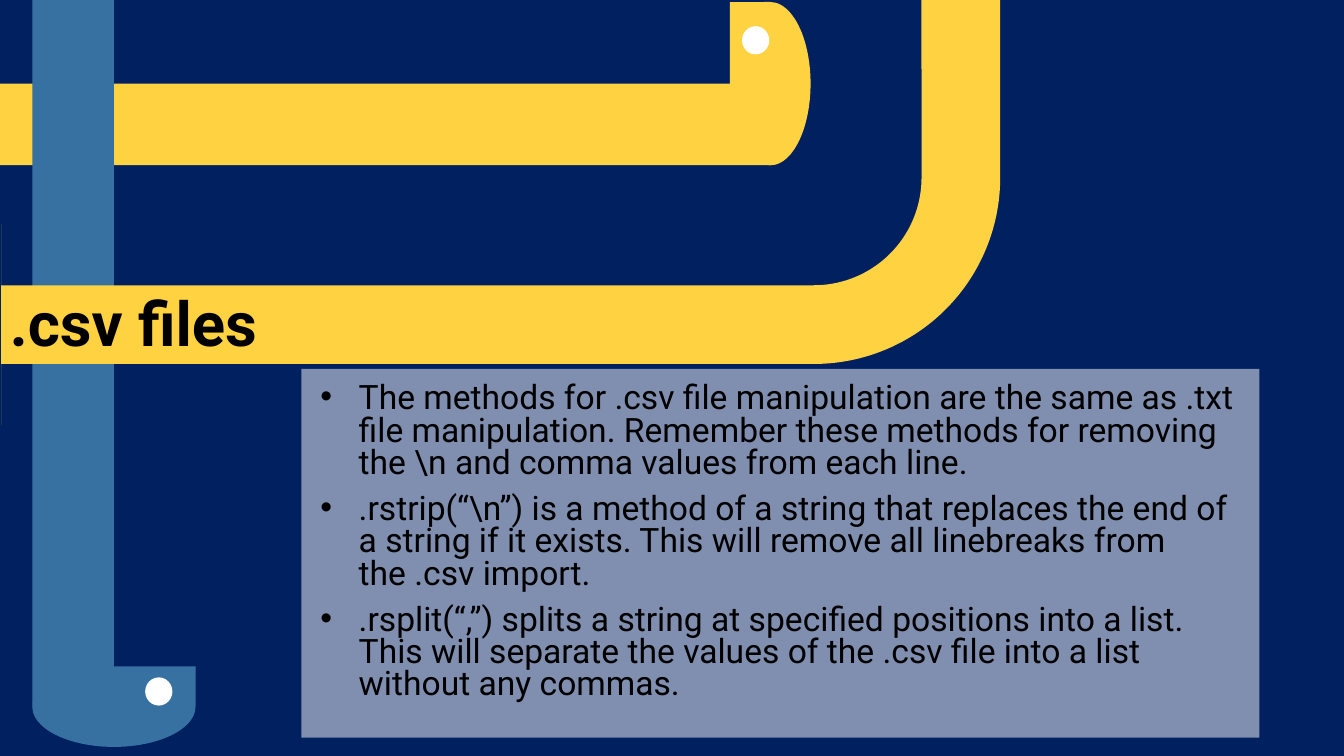
from dataclasses import dataclass

from lxml import etree
from pptx import Presentation
from pptx.dml.color import RGBColor
from pptx.enum.shapes import MSO_SHAPE
from pptx.enum.text import MSO_ANCHOR, PP_ALIGN
from pptx.oxml.ns import qn
from pptx.shapes.autoshape import Shape
from pptx.slide import Slide
from pptx.util import Inches, Pt

RECTANGLE = MSO_SHAPE.RECTANGLE
BENT_ARROW = MSO_SHAPE.BENT_ARROW
TEARDROP = MSO_SHAPE.TEAR
EYE = MSO_SHAPE.FLOWCHART_CONNECTOR
TOP, BOTTOM = MSO_ANCHOR.TOP, MSO_ANCHOR.BOTTOM
LEFT = PP_ALIGN.LEFT


@dataclass(frozen=True)
class Theme:
    navy: str = "002060"
    yellow: str = "FFD242"
    blue: str = "3771A1"
    white: str = "FFFFFF"
    black: str = "000000"
    font: str = "Roboto"
    title_size: int = 44
    body_size: int = 24


THEME = Theme()


@dataclass(frozen=True)
class Piece:
    kind: MSO_SHAPE
    box: tuple[float, float, float, float]
    color: str
    rotation: int = 0
    flipped: bool = False
    opacity: int = 100
    bends: tuple[float, ...] = ()


@dataclass(frozen=True)
class Passage:
    box: tuple[float, float, float, float]
    lines: tuple[str, ...]
    size: int
    bold: bool
    anchor: MSO_ANCHOR
    spacing: float
    before: int = 0
    indent: float = 0


BACKDROP = (
    Piece(RECTANGLE, (0, 0.83, 7.63, 0.81), THEME.yellow),
    Piece(RECTANGLE, (-2.77, 3.09, 6.99, 0.81), THEME.blue, rotation=90),
    Piece(BENT_ARROW, (0.01, 0, 9.91, 4.22), THEME.yellow, rotation=180,
          bends=(0.185, 0.237, 0, 0.438)),
    Piece(RECTANGLE, (2.99, 3.66, 9.5, 3.66), THEME.white, opacity=50),
)
SNAKE_HEADS = (
    Piece(TEARDROP, (7.24, 0.02, 0.8, 1.62), THEME.yellow, flipped=True),
    Piece(EYE, (7.36, 0.26, 0.27, 0.28), THEME.white),
    Piece(TEARDROP, (0.73, 6.2, 0.8, 1.62), THEME.blue, rotation=90, flipped=True),
    Piece(EYE, (1.44, 6.72, 0.27, 0.28), THEME.white),
)
PASSAGES = (
    Passage((0, 1.69, 8.31, 1.93), (".csv files",), THEME.title_size, True, BOTTOM, 0.9),
    Passage(
        (3.08, 3.76, 9.33, 3.42),
        (
            "The methods for .csv file manipulation are the same as .txt file manipulation. "
            "Remember these methods for removing the \\n and comma values from each line.",
            ".rstrip(“\\n”) is a method of a string that replaces the end of a string if it "
            "exists. This will remove all linebreaks from the .csv import.",
            ".rsplit(“,”) splits a string at specified positions into a list. This will "
            "separate the values of the .csv file into a list without any commas.",
        ),
        THEME.body_size, False, TOP, 0.8, before=10, indent=0.38,
    ),
)


def draw_piece(slide: Slide, piece: Piece) -> Shape:
    shape = slide.shapes.add_shape(piece.kind, *map(Inches, piece.box))
    shape.shadow.inherit = False
    shape.rotation = piece.rotation
    shape.fill.solid()
    shape.fill.fore_color.rgb = RGBColor.from_string(piece.color)
    shape.line.fill.background()
    for index, bend in enumerate(piece.bends):
        shape.adjustments[index] = bend
    if piece.flipped:
        shape.element.spPr.find(qn("a:xfrm")).set("flipH", "1")
    if piece.opacity < 100:
        tint = shape.element.spPr.find(qn("a:solidFill"))[0]
        etree.SubElement(tint, qn("a:alpha")).set("val", str(piece.opacity * 1000))
    return shape


def write_passage(slide: Slide, passage: Passage) -> Shape:
    box = slide.shapes.add_textbox(*map(Inches, passage.box))
    frame = box.text_frame
    frame.word_wrap = True
    frame.vertical_anchor = passage.anchor
    frame.text = "\n".join(passage.lines)
    paragraph_format = {
        "alignment": LEFT,
        "line_spacing": passage.spacing,
        "space_before": Pt(passage.before),
    }
    font_format = {"name": THEME.font, "size": Pt(passage.size), "bold": passage.bold}
    for paragraph in frame.paragraphs:
        for name, value in paragraph_format.items():
            setattr(paragraph, name, value)
        font = paragraph.runs[0].font
        for name, value in font_format.items():
            setattr(font, name, value)
        font.color.rgb = RGBColor.from_string(THEME.black)
        if passage.indent:
            properties = paragraph._p.get_or_add_pPr()
            properties.set("marL", str(Inches(passage.indent)))
            properties.set("indent", str(-Inches(passage.indent)))
            etree.SubElement(properties, qn("a:buFont")).set("typeface", "Arial")
            etree.SubElement(properties, qn("a:buChar")).set("char", "•")
    return box


def main() -> None:
    deck = Presentation()
    deck.slide_width, deck.slide_height = Inches(13.33), Inches(7.5)
    slide = deck.slides.add_slide(deck.slide_layouts[6])
    slide.background.fill.solid()
    slide.background.fill.fore_color.rgb = RGBColor.from_string(THEME.navy)
    for piece in BACKDROP:
        draw_piece(slide, piece)
    for passage in PASSAGES:
        write_passage(slide, passage)
    for piece in SNAKE_HEADS:
        draw_piece(slide, piece)
    deck.save("out.pptx")


if __name__ == "__main__":
    main()
